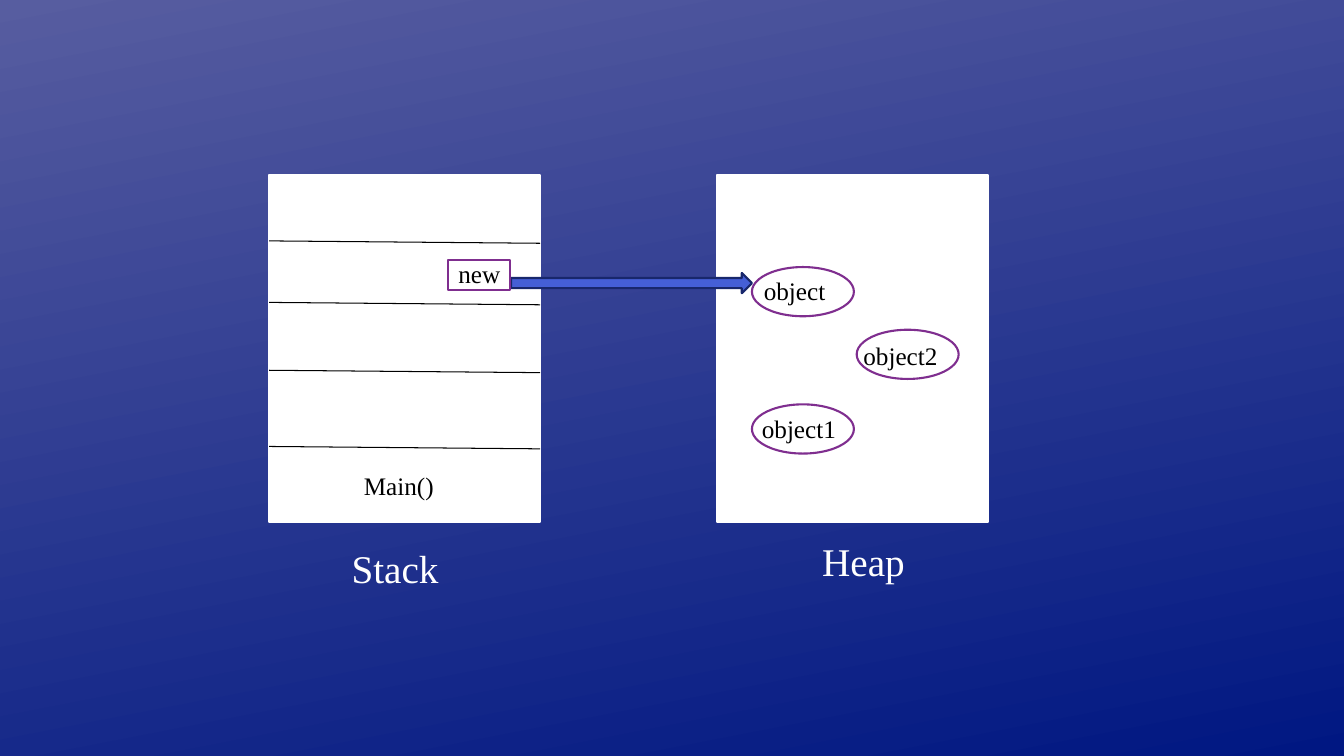
import pptx
import pptx.util
from pptx.dml.color import RGBColor
from pptx.enum.shapes import MSO_CONNECTOR, MSO_SHAPE
from pptx.enum.text import MSO_AUTO_SIZE
from pptx.oxml.ns import qn
from pptx.util import Cm, Pt
import lxml.etree

WHITE = RGBColor(0xFF, 0xFF, 0xFF)
BLACK = RGBColor(0x00, 0x00, 0x00)
PURPLE = RGBColor(0x7F, 0x2E, 0x8F)
BLUE = RGBColor(0x45, 0x5F, 0xD6)
NAVY = RGBColor(0x18, 0x27, 0x6C)
BACKGROUND_TOP = RGBColor(0x57, 0x5D, 0xA0)
BACKGROUND_BOTTOM = RGBColor(0x00, 0x17, 0x82)

# All positions and sizes are in centimetres.
STACK_LEFT, HEAP_LEFT = 6.78, 18.08
PANEL_TOP, PANEL_WIDTH, PANEL_HEIGHT = 4.42, 6.83, 8.74
FRAME_TOPS = [6.07, 7.62, 9.33, 11.25]
FRAME_SLOPE = 0.06

BODY = {"name": "Times New Roman", "size": Pt(18), "color": BLACK}
CAPTION = {"name": "Times New Roman", "size": Pt(28), "color": WHITE}
LABELS = [  # text, left, top, width, height, format
    ("new", 11.3, 6.38, 1.93, 1.02, BODY),
    ("Main()", 8.92, 11.73, 3.35, 1.02, BODY),
    ("object", 19.0, 6.81, 3.35, 1.02, BODY),
    ("object1", 18.95, 10.29, 3.35, 1.02, BODY),
    ("object2", 21.51, 8.46, 3.35, 1.02, BODY),
    ("Stack", 8.61, 13.59, 3.66, 1.45, CAPTION),
    ("Heap", 20.47, 13.41, 3.66, 1.45, CAPTION),
]
REFERENCE_ARROW = (12.88, 6.88, 6.07, 0.51)
NEW_BOX = (11.28, 6.56, 1.57, 0.74)
OBJECT_CORNERS = [(18.95, 6.73), (21.59, 8.31), (18.95, 10.19)]
OBJECT_SIZE = (2.57, 1.24)


def add_outline(slide, kind, box, line_color, fill_color=None):
    """Add a preset shape; without a fill colour it stays see-through."""
    shape = slide.shapes.add_shape(kind, *map(Cm, box))
    shape.shadow.inherit = False
    if fill_color is None:
        shape.fill.background()
    else:
        shape.fill.solid()
        shape.fill.fore_color.rgb = fill_color
    shape.line.color.rgb = line_color
    shape.line.width = Pt(1.5)


def add_frame_line(slide, top):
    line = slide.shapes.add_connector(
        MSO_CONNECTOR.STRAIGHT, Cm(STACK_LEFT), Cm(top),
        Cm(STACK_LEFT + PANEL_WIDTH), Cm(top + FRAME_SLOPE))
    line.line.color.rgb = BLACK
    line.line.width = Pt(0.75)
    lxml.etree.SubElement(line._element.spPr, qn("a:effectLst"))


def add_label(slide, text, box, text_format):
    frame = slide.shapes.add_textbox(*map(Cm, box)).text_frame
    frame.word_wrap = True
    frame.auto_size = MSO_AUTO_SIZE.SHAPE_TO_FIT_TEXT
    run = frame.paragraphs[0].add_run()
    run.text = text
    for name, value in text_format.items():
        if name == "color":
            run.font.color.rgb = value
        else:
            setattr(run.font, name, value)


def paint_background(slide):
    fill = slide.background.fill
    fill.gradient()
    fill.gradient_angle = 360 - 79
    for stop, color, position in zip(
            fill.gradient_stops, (BACKGROUND_TOP, BACKGROUND_BOTTOM), (0, 1)):
        stop.color.rgb = color
        stop.position = position


def main():
    presentation = pptx.Presentation()
    presentation.slide_width = Cm(33.87)
    presentation.slide_height = Cm(19.05)
    slide = presentation.slides.add_slide(presentation.slide_layouts[6])
    paint_background(slide)

    for left in (STACK_LEFT, HEAP_LEFT):
        panel = (left, PANEL_TOP, PANEL_WIDTH, PANEL_HEIGHT)
        add_outline(slide, MSO_SHAPE.RECTANGLE, panel, WHITE, WHITE)
    for top in FRAME_TOPS:
        add_frame_line(slide, top)
    for text, *box, text_format in LABELS:
        add_label(slide, text, box, text_format)

    add_outline(slide, MSO_SHAPE.RIGHT_ARROW, REFERENCE_ARROW, NAVY, BLUE)
    add_outline(slide, MSO_SHAPE.RECTANGLE, NEW_BOX, PURPLE)
    for corner in OBJECT_CORNERS:
        add_outline(slide, MSO_SHAPE.OVAL, corner + OBJECT_SIZE, PURPLE)

    presentation.save("out.pptx")


if __name__ == "__main__":
    main()
